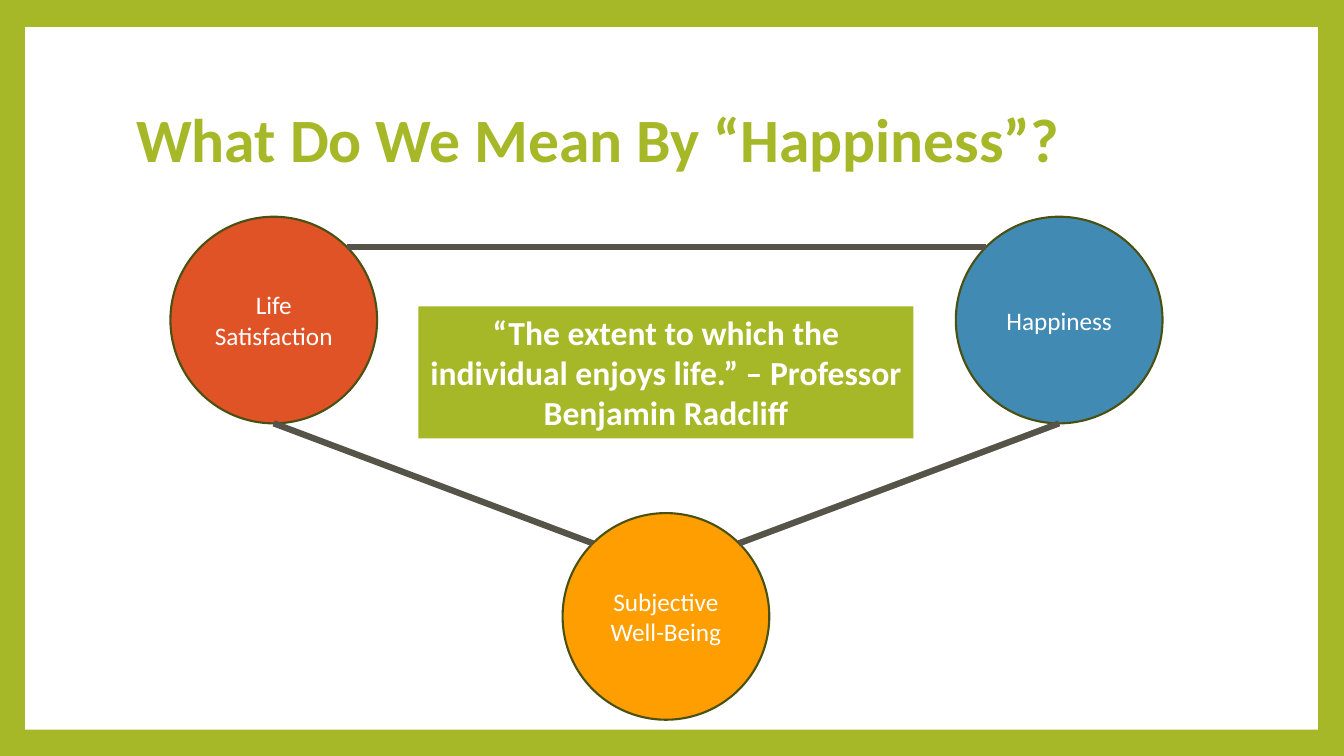
from math import sqrt

from lxml import etree
from pptx import Presentation
from pptx.dml.color import RGBColor
from pptx.enum import shapes, text
from pptx.oxml.ns import qn
from pptx.util import Inches, Pt

TITLE = "What Do We Mean By “Happiness”?"
QUOTE = ("“The extent to which the individual enjoys life.” – "
         "Professor Benjamin Radcliff")
# name: (label, left, top, colour)
CIRCLES = {
    "satisfaction": ("Life Satisfaction", 1.69, 2.15, "red"),
    "wellbeing": ("Subjective Well-Being", 5.58, 5.09, "orange"),
    "happiness": ("Happiness", 9.48, 2.15, "blue"),
}
# (from circle, its site, to circle, its site)
LINKS = [
    ("satisfaction", "top right", "happiness", "top left"),
    ("wellbeing", "top right", "happiness", "bottom"),
    ("wellbeing", "top left", "satisfaction", "bottom"),
]
COLORS = {"green": "A6B727", "white": "FFFFFF", "red": "DF5327",
          "orange": "FE9E00", "blue": "418AB3", "outline": "495011",
          "link": "565349"}
DIAMETER = 2.05
RADIUS = DIAMETER / 2
DIAGONAL = RADIUS / sqrt(2)
SITES = {"top left": (-DIAGONAL, -DIAGONAL),
         "top right": (DIAGONAL, -DIAGONAL),
         "bottom": (0, RADIUS)}


def color(name):
    return RGBColor.from_string(COLORS[name])


def add_filled(slide, kind, box, fill, outline=None):
    sp = slide.shapes.add_shape(kind, *(Inches(v) for v in box))
    sp.shadow.inherit = False
    sp.fill.solid()
    sp.fill.fore_color.rgb = color(fill)
    if outline:
        sp.line.color.rgb = color(outline)
        sp.line.width = Pt(1.5)
    else:
        sp.line.fill.background()
    return sp


def write(sp, words, size, font_color, bold=False,
          align=text.PP_ALIGN.CENTER, anchor=text.MSO_ANCHOR.MIDDLE):
    tf = sp.text_frame
    tf.word_wrap = True
    tf.vertical_anchor = anchor
    p = tf.paragraphs[0]
    p.alignment = align
    r = p.add_run()
    r.text = words
    r.font.name = "Calibri"
    r.font.size = Pt(size)
    r.font.bold = bold
    r.font.color.rgb = color(font_color)
    return p


def site_point(circle, site):
    _, left, top, _ = CIRCLES[circle]
    dx, dy = SITES[site]
    return Inches(left + RADIUS + dx), Inches(top + RADIUS + dy)


def main():
    prs = Presentation()
    prs.slide_width, prs.slide_height = Inches(13.33), Inches(7.5)
    slide = prs.slides.add_slide(prs.slide_layouts[5])
    slide.background.fill.solid()
    slide.background.fill.fore_color.rgb = color("green")

    rect = shapes.MSO_SHAPE.RECTANGLE
    panel = add_filled(slide, rect, (0.25, 0.27, 12.82, 6.97), "white")
    title = slide.shapes.title
    panel._element.addnext(title._element)  # keeps the title above the panel
    title.left, title.top = Inches(1.25), Inches(0.67)
    title.width, title.height = Inches(10.8), Inches(1.48)
    p = write(title, TITLE, 44, "green", True, text.PP_ALIGN.LEFT)
    p.line_spacing = 0.9

    for label, left, top, fill in CIRCLES.values():
        sp = add_filled(slide, shapes.MSO_SHAPE.OVAL,
                        (left, top, DIAMETER, DIAMETER), fill, "outline")
        write(sp, label, 18, "white")

    for start, start_site, end, end_site in LINKS:
        link = slide.shapes.add_connector(
            shapes.MSO_CONNECTOR.STRAIGHT,
            *site_point(start, start_site), *site_point(end, end_site))
        link.line.color.rgb = color("link")
        link.line.width = Pt(4.5)
        etree.SubElement(link._element.spPr, qn("a:effectLst"))

    quote = add_filled(slide, rect, (4.15, 3.04, 4.91, 1.31), "green")
    write(quote, QUOTE, 24, "white", True, anchor=text.MSO_ANCHOR.TOP)
    quote.text_frame.auto_size = text.MSO_AUTO_SIZE.SHAPE_TO_FIT_TEXT

    prs.save("out.pptx")


if __name__ == "__main__":
    main()
